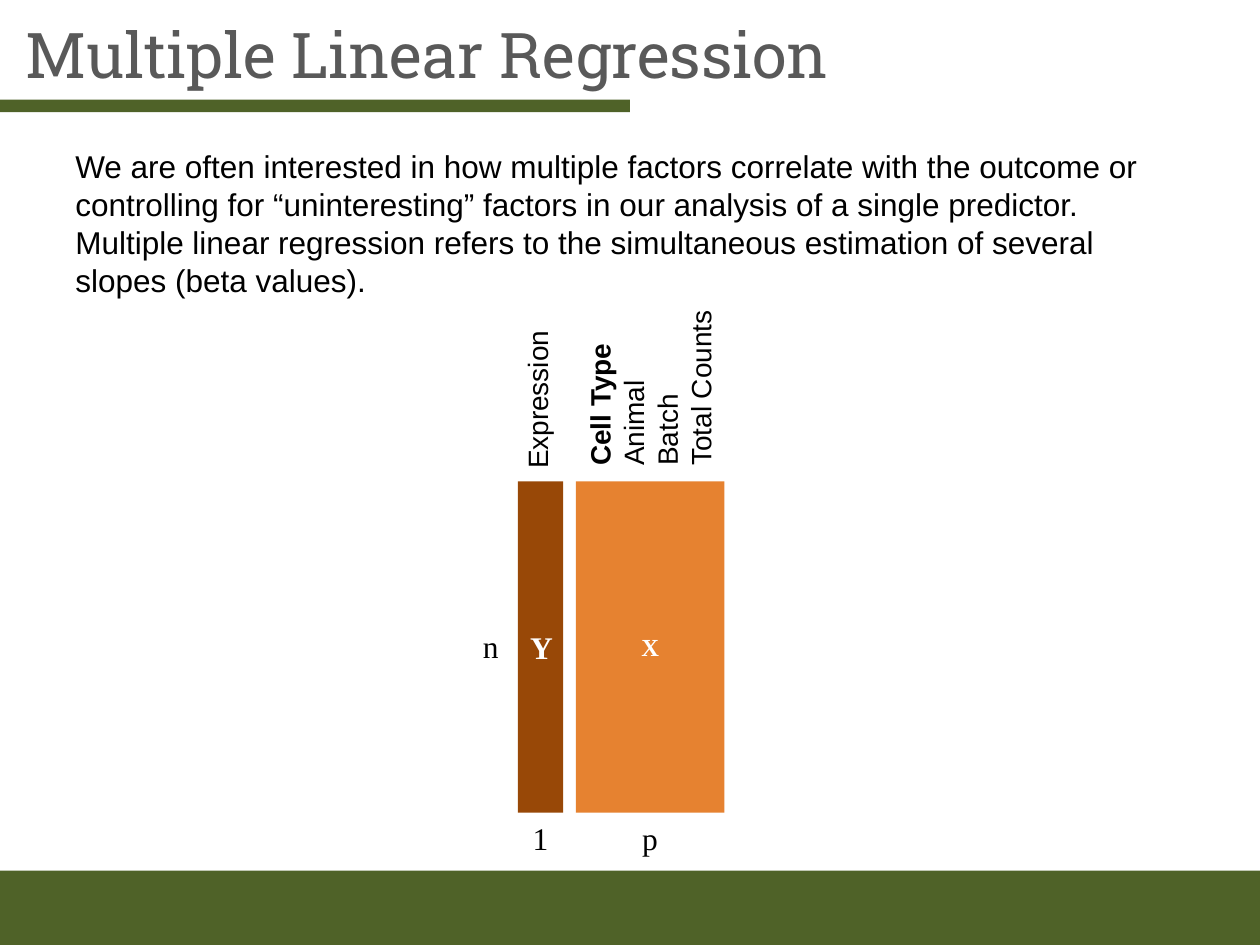
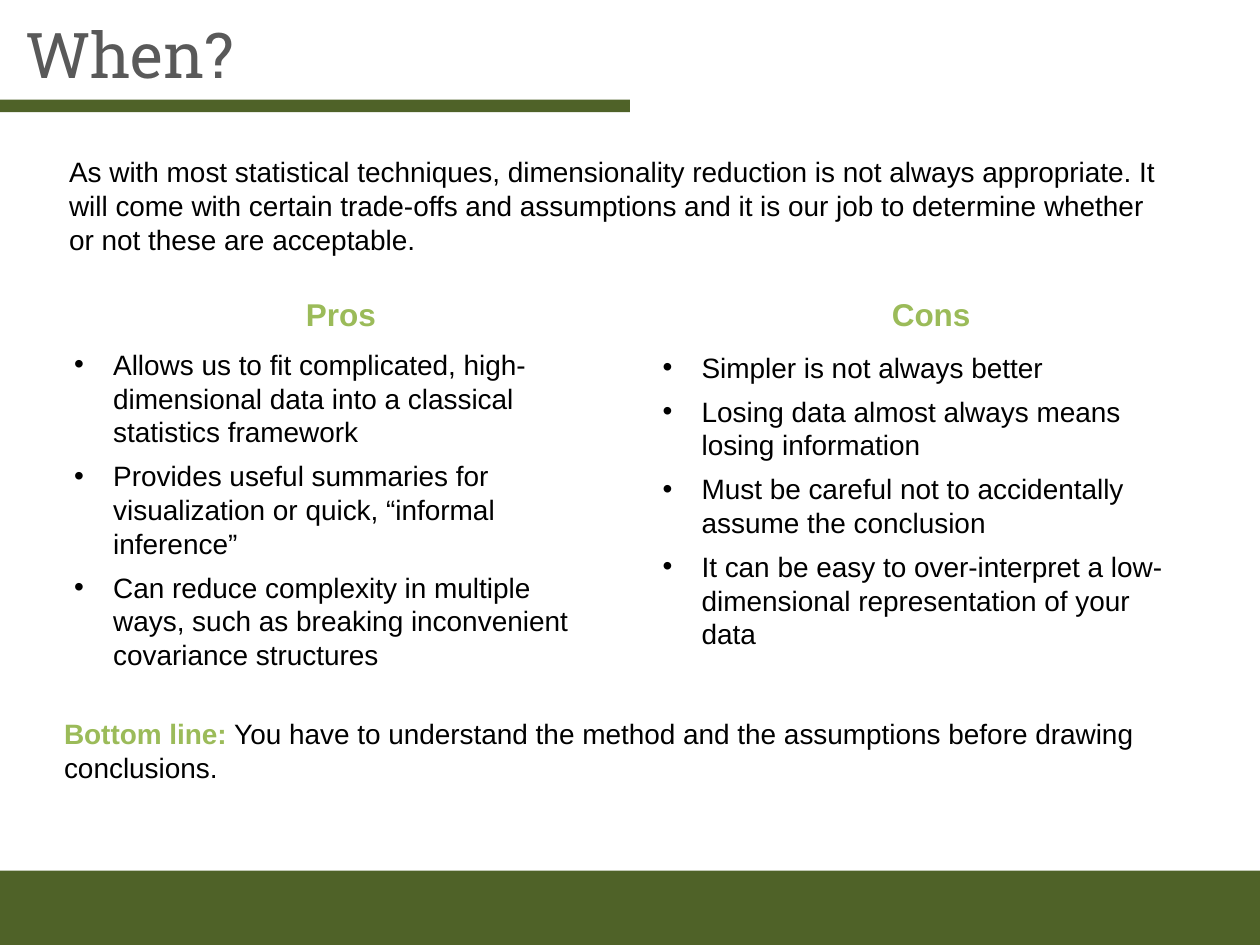
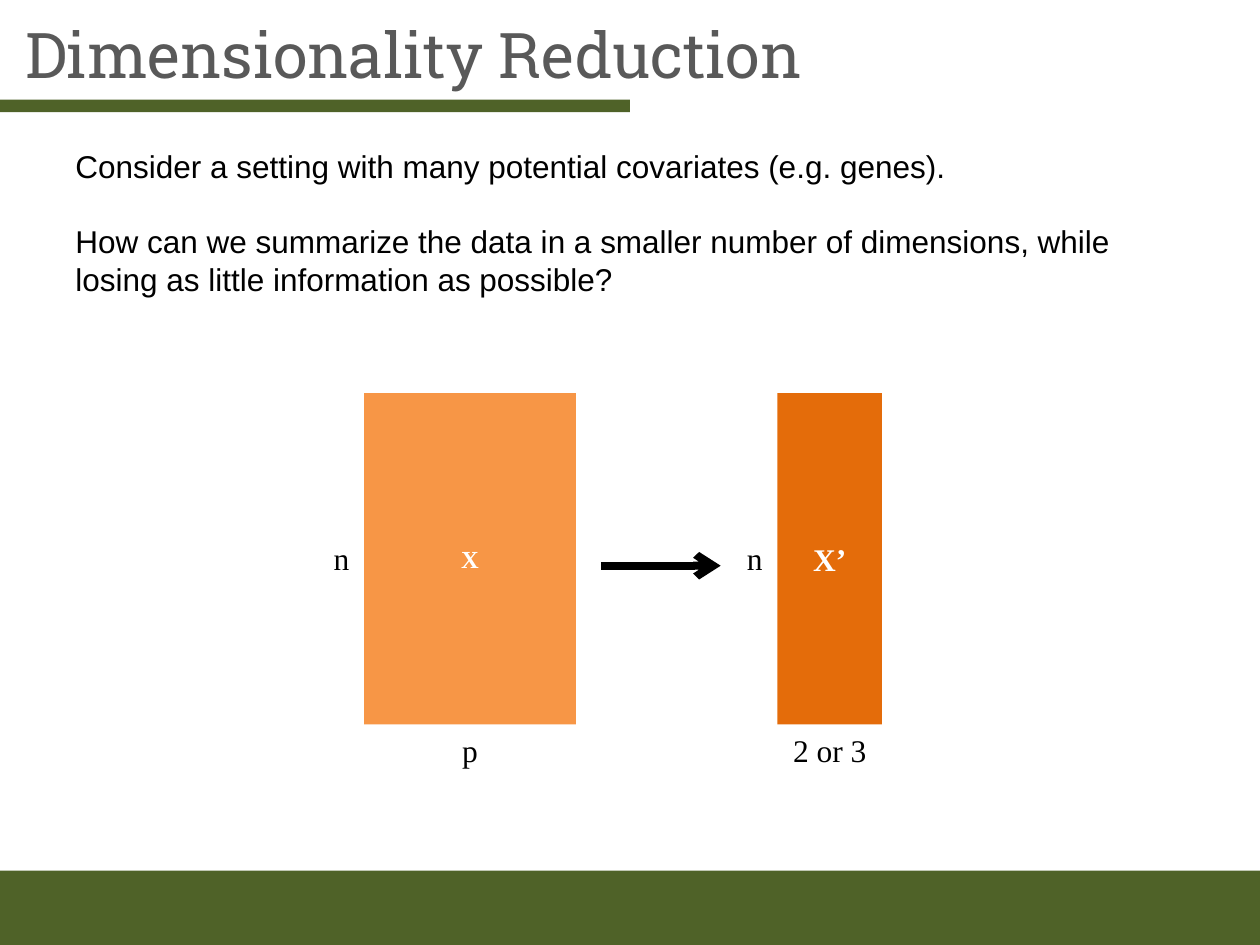
from lxml.etree import SubElement
from pptx import Presentation
from pptx.dml.color import RGBColor
from pptx.enum.shapes import MSO_CONNECTOR, MSO_SHAPE
from pptx.enum.text import MSO_ANCHOR, MSO_AUTO_SIZE, PP_ALIGN
from pptx.oxml.ns import qn
from pptx.util import Inches, Pt

COLUMNS, ROWS = 100, 75
TITLE_ONLY = 5
SANS, SLAB, SERIF = "Arial", "Roboto Slab", "Times New Roman"
BLACK, WHITE, GREY = "000000", "FFFFFF", "595959"
DARK_GREEN, LIGHT_GREEN = "4F6228", "9BBB59"
ORANGE, PALE_ORANGE, DEEP_ORANGE, BROWN = "E68230", "F79646", "E46C0A", "984807"


def rgb(code):
    return RGBColor.from_string(code)


def write(frame, paragraphs, *, size=16, font=SANS, color=BLACK, bold=False,
          align=PP_ALIGN.LEFT, before=0, after=0, bullet=False):
    """Fill a frame; a paragraph is a string or a list of (text, overrides) runs."""
    if isinstance(paragraphs, str):
        paragraphs = [paragraphs]
    for index, content in enumerate(paragraphs):
        paragraph = frame.add_paragraph() if index else frame.paragraphs[0]
        paragraph.alignment = align
        paragraph.space_before = Pt(before if index else 0)
        paragraph.space_after = Pt(after)
        if bullet:
            properties = paragraph._p.get_or_add_pPr()
            properties.set("marL", str(Inches(0.31)))
            properties.set("indent", str(-Inches(0.31)))
            SubElement(properties, qn("a:buFont"), typeface=SANS)
            SubElement(properties, qn("a:buChar"), char="•")
        runs = [(content, {})] if isinstance(content, str) else content
        for words, overrides in runs:
            run = paragraph.add_run()
            run.text = words
            run.font.name = font
            run.font.size = Pt(size)
            run.font.bold = overrides.get("bold", bold)
            run.font.color.rgb = rgb(overrides.get("color", color))


class Deck:
    """Places elements on the current slide by grid columns and rows."""

    def __init__(self):
        self.presentation = Presentation()
        self.presentation.slide_width = Inches(10)
        self.presentation.slide_height = Inches(7.5)
        self.column = self.presentation.slide_width / COLUMNS
        self.row = self.presentation.slide_height / ROWS
        self.slide = None

    def grid(self, x, y, width, height):
        return (round(x * self.column), round(y * self.row),
                round(width * self.column), round(height * self.row))

    def new_slide(self, heading):
        layout = self.presentation.slide_layouts[TITLE_ONLY]
        self.slide = self.presentation.slides.add_slide(layout)
        title = self.slide.shapes.title
        title.left, title.top, title.width, title.height = self.grid(1, 0, 97.9, 8.4)
        title.text_frame.vertical_anchor = MSO_ANCHOR.MIDDLE
        title.text_frame.auto_size = MSO_AUTO_SIZE.NONE
        write(title.text_frame, heading, size=36, font=SLAB, color=GREY)
        self.block(0, 69.1, COLUMNS, 5.9, DARK_GREEN)
        self.block(0, 7.9, COLUMNS / 2, 1, DARK_GREEN)

    def block(self, x, y, width, height, color):
        shape = self.slide.shapes.add_shape(
            MSO_SHAPE.RECTANGLE, *self.grid(x, y, width, height))
        shape.shadow.inherit = False
        shape.fill.solid()
        shape.fill.fore_color.rgb = rgb(color)
        shape.line.fill.background()
        return shape

    def text(self, x, y, width, height, paragraphs, wrap=True, rotation=0, **style):
        box = self.slide.shapes.add_textbox(*self.grid(x, y, width, height))
        box.rotation = rotation
        box.text_frame.word_wrap = wrap
        box.text_frame.auto_size = MSO_AUTO_SIZE.SHAPE_TO_FIT_TEXT
        write(box.text_frame, paragraphs, **style)

    def label(self, center_x, y, words, width=3.3):
        self.text(center_x - width / 2, y, width, 4, words, wrap=False,
                  size=18, font=SERIF, align=PP_ALIGN.CENTER)

    def matrix(self, x, y, width, color, name, columns, rows=None, *,
               size=18, row_offset=1.8, label_width=3.3):
        """Draw a data matrix with its dimensions below and to the left."""
        height = 26.3
        frame = self.block(x, y, width, height, color).text_frame
        frame.vertical_anchor = MSO_ANCHOR.MIDDLE
        write(frame, name, size=size, font=SERIF, color=WHITE, bold=True,
              align=PP_ALIGN.CENTER)
        self.label(x + width / 2, y + height, columns, label_width)
        if rows:
            self.label(x - row_offset, y + height / 2 - 2.1, rows)

    def arrow(self, start, end, y):
        x, top, length, _ = self.grid(start, y, end - start, 0)
        line = self.slide.shapes.add_connector(
            MSO_CONNECTOR.STRAIGHT, x, top, x + length, top)
        line.line.color.rgb = rgb(BLACK)
        line.line.width = Pt(4.5)
        SubElement(line.line._get_or_add_ln(), qn("a:tailEnd"), type="arrow")
        SubElement(line._element.spPr, qn("a:effectLst"))


def regression_slide(deck):
    deck.new_slide("Multiple Linear Regression")
    deck.text(5, 11.2, 90, 13.1, [
        "We are often interested in how multiple factors correlate with the outcome or "
        "controlling for “uninteresting” factors in our analysis of a single predictor.",
        "Multiple linear regression refers to the simultaneous estimation of several "
        "slopes (beta values).",
    ], size=18)
    deck.matrix(45.7, 38.2, 11.8, ORANGE, "X", "p", size=14)
    deck.matrix(41.1, 38.2, 3.6, BROWN, "Y", "1", "n", row_offset=2.15)
    deck.text(36.1, 29.8, 13.1, 3.7, "Expression", wrap=False, rotation=270)
    deck.text(44.4, 24.8, 14.5, 11.8, [
        [("Cell Type", {"bold": True})], "Animal", "Batch", "Total Counts",
    ], wrap=False, rotation=270)


def when_slide(deck):
    deck.new_slide("When?")
    deck.text(4.5, 11.8, 88.5, 9.1,
              "As with most statistical techniques, dimensionality reduction is not always "
              "appropriate. It will come with certain trade-offs and assumptions and it is "
              "our job to determine whether or not these are acceptable.")
    pros = [
        "Allows us to fit complicated, high-dimensional data into a classical "
        "statistics framework",
        "Provides useful summaries for visualization or quick, “informal inference”",
        "Can reduce complexity in multiple ways, such as breaking inconvenient "
        "covariance structures",
    ]
    cons = [
        "Simpler is not always better",
        "Losing data almost always means losing information",
        "Must be careful not to accidentally assume the conclusion",
        "It can be easy to over-interpret a low-dimensional representation of your data",
    ]
    for heading, heading_x, heading_width, points, x, y, height in (
            ("Pros", 23.3, 7.6, pros, 4.9, 27.1, 26.9),
            ("Cons", 69.8, 8.3, cons, 51.6, 27.3, 25.1)):
        deck.text(heading_x, 22.9, heading_width, 4, heading, wrap=False,
                  size=18, color=LIGHT_GREEN, bold=True)
        deck.text(x, y, 43.9, height, points, after=6, bullet=True)
    deck.text(4.1, 56.4, 88.5, 6.4, [[
        ("Bottom line:", {"color": LIGHT_GREEN, "bold": True}),
        (" You have to understand the method and the assumptions before drawing "
         "conclusions.", {}),
    ]])


def reduction_slide(deck):
    deck.new_slide("Dimensionality Reduction")
    deck.text(5, 11.2, 90, 13.1, [
        "Consider a setting with many potential covariates (e.g. genes).",
        "How can we summarize the data in a smaller number of dimensions, while losing "
        "as little information as possible?",
    ], size=18, before=21)
    deck.matrix(28.9, 31.2, 16.8, PALE_ORANGE, "X", "p", "n", size=14)
    deck.matrix(61.7, 31.2, 8.3, DEEP_ORANGE, "X’", "2 or 3", "n", label_width=7.9)
    deck.arrow(47.7, 57.2, 44.9)


def main():
    deck = Deck()
    for build in (regression_slide, when_slide, reduction_slide):
        build(deck)
    deck.presentation.save("out.pptx")


if __name__ == "__main__":
    main()
